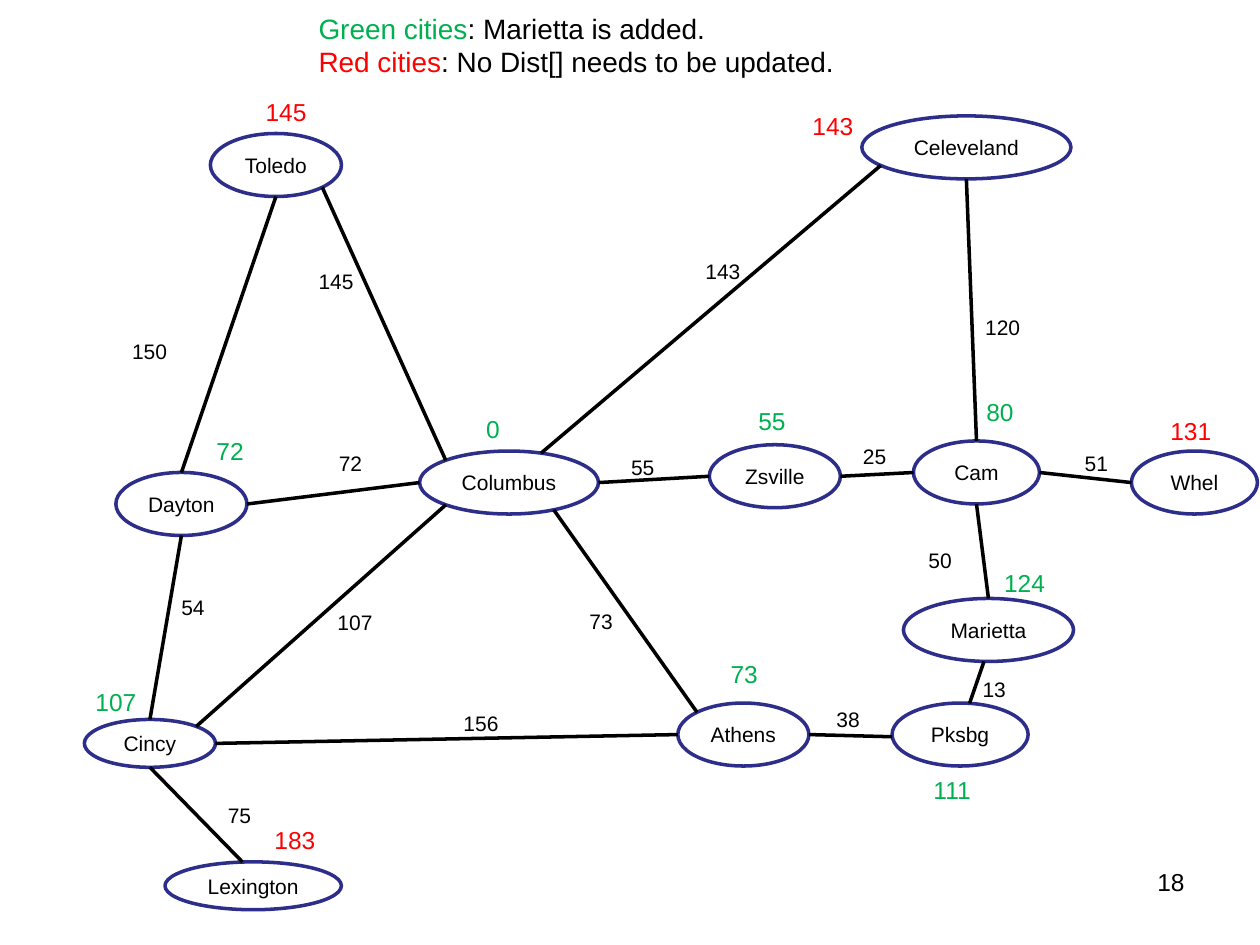
import math
from dataclasses import dataclass

import pptx
import pptx.dml.color
import pptx.enum.shapes
import pptx.enum.text
import pptx.oxml.ns
import pptx.util
from lxml import etree

ALIGN = pptx.enum.text.PP_ALIGN
COLUMNS = 10
ROWS = 7.5


@dataclass(frozen=True)
class Theme:
    font: str = "Arial"
    ink: str = "000000"
    paper: str = "FFFFFF"
    outline: str = "2D2D8A"
    green: str = "00B050"
    red: str = "FF0000"
    label: int = 12
    distance: int = 14
    caption: int = 16
    stroke: int = 2


THEME = Theme()

CITIES = {
    "Columbus": (3.33, 3.58, 1.42, 0.5),
    "Pksbg": (7.08, 5.58, 1.08, 0.5),
    "Athens": (5.38, 5.58, 1.04, 0.5),
    "Cam": (7.25, 3.5, 1, 0.5),
    "Whel": (8.98, 3.58, 1, 0.5),
    "Cincy": (0.67, 5.71, 1.04, 0.38),
    "Dayton": (0.92, 3.75, 1.04, 0.5),
    "Toledo": (1.67, 1.06, 1.04, 0.5),
    "Marietta": (7.17, 4.75, 1.35, 0.5),
    "Zsville": (5.63, 3.53, 1.04, 0.5),
    "Celeveland": (6.84, 0.92, 1.66, 0.5),
    "Lexington": (1.31, 6.84, 1.4, 0.38),
}

# Each road: city and angle in degrees at both ends, miles, label corner.
ROADS = [
    ("Columbus", 0, "Zsville", 180, "55", 4.91, 3.56),
    ("Zsville", 0, "Cam", 180, "25", 6.75, 3.47),
    ("Cam", 0, "Whel", 180, "51", 8.51, 3.53),
    ("Athens", 0, "Pksbg", 184, "38", 6.54, 5.56),
    ("Columbus", 300, "Athens", 135, "73", 4.58, 4.78),
    ("Dayton", 0, "Columbus", 180, "72", 2.59, 3.53),
    ("Cincy", 45, "Columbus", 225, "107", 2.58, 4.79),
    ("Dayton", 90, "Toledo", 270, "150", 0.95, 2.64),
    ("Toledo", 315, "Columbus", 135, "145", 2.43, 2.08),
    ("Cincy", 90, "Dayton", 270, "54", 1.34, 4.67),
    ("Cincy", 0, "Athens", 180, "156", 3.58, 5.59),
    ("Columbus", 69, "Celeveland", 215, "143", 5.5, 2),
    ("Celeveland", 270, "Cam", 90, "120", 7.72, 2.45),
    ("Cam", 270, "Marietta", 90, "50", 7.27, 4.3),
    ("Marietta", 267, "Pksbg", 82, "13", 7.7, 5.32),
    ("Lexington", 97, "Cincy", 270, "75", 1.71, 6.32),
]

DISTANCES = [
    ("55", THEME.green, 5.92, 3.17, 0.63),
    ("80", THEME.green, 7.73, 3.1, 0.94),
    ("124", THEME.green, 7.87, 4.46, 1.12),
    ("143", THEME.red, 6.35, 0.83, 0.64),
    ("145", THEME.red, 2.01, 0.72, 0.63),
    ("72", THEME.green, 1.62, 3.41, 0.63),
    ("107", THEME.green, 0.66, 5.4, 0.63),
    ("183", THEME.red, 2.08, 6.5, 1.25),
    ("73", THEME.green, 5.7, 5.18, 0.63),
    ("111", THEME.green, 7.31, 6.1, 1.19),
    ("131", THEME.red, 9.19, 3.25, 0.81),
    ("0", THEME.green, 3.76, 3.24, 0.63),
]

CAPTION = [
    [("Green cities", THEME.green), (": Marietta is added.", THEME.ink)],
    [("Red cities", THEME.red), (": No Dist[] needs to be updated.", THEME.ink)],
]


def rgb(value):
    return pptx.dml.color.RGBColor.from_string(value)


def write(p, text, *, size=THEME.label, color=THEME.ink, align=ALIGN.LEFT):
    p.alignment = align
    r = p.add_run()
    r.text = text
    r.font.name = THEME.font
    r.font.size = pptx.util.Pt(size)
    r.font.color.rgb = rgb(color)


def rim(city, angle):
    x, y, w, h = CITIES[city]
    turn = math.radians(angle)
    return x + w / 2 * (1 + math.cos(turn)), y + h / 2 * (1 - math.sin(turn))


class Board:
    def __init__(self, prs, theme):
        self.theme = theme
        self.column = prs.slide_width / COLUMNS
        self.row = prs.slide_height / ROWS
        self.s = prs.slides.add_slide(prs.slide_layouts[6])

    def place(self, x, y):
        return round(x * self.column), round(y * self.row)

    def city(self, name, x, y, w, h):
        sp = self.s.shapes.add_shape(
            pptx.enum.shapes.MSO_SHAPE.OVAL, *self.place(x, y), *self.place(w, h)
        )
        sp.shadow.inherit = False
        sp.fill.solid()
        sp.fill.fore_color.rgb = rgb(self.theme.paper)
        sp.line.color.rgb = rgb(self.theme.outline)
        sp.line.width = pptx.util.Pt(self.theme.stroke)
        tf = sp.text_frame
        tf.word_wrap = False
        tf.vertical_anchor = pptx.enum.text.MSO_ANCHOR.MIDDLE
        write(tf.paragraphs[0], name, align=ALIGN.CENTER)

    def road(self, start, end):
        cxn = self.s.shapes.add_connector(
            pptx.enum.shapes.MSO_CONNECTOR.STRAIGHT,
            *self.place(*start), *self.place(*end),
        )
        cxn.line.color.rgb = rgb(self.theme.ink)
        cxn.line.width = pptx.util.Pt(self.theme.stroke)
        etree.SubElement(cxn._element.spPr, pptx.oxml.ns.qn("a:effectLst"))

    def text(self, lines, x, y, w, h, **style):
        sp = self.s.shapes.add_textbox(*self.place(x, y), *self.place(w, h))
        tf = sp.text_frame
        tf.word_wrap = True
        for i, line in enumerate(lines):
            p = tf.add_paragraph() if i else tf.paragraphs[0]
            for text, color in line:
                write(p, text, color=color, **style)


def main():
    prs = pptx.Presentation()
    prs.slide_width = pptx.util.Inches(10)
    prs.slide_height = pptx.util.Inches(7.5)
    board = Board(prs, THEME)
    for name, box in CITIES.items():
        board.city(name, *box)
    for start, leave, end, arrive, _, _, _ in ROADS:
        board.road(rim(start, leave), rim(end, arrive))
    for *_, miles, x, y in ROADS:
        board.text([[(miles, THEME.ink)]], x, y, 0.49, 0.3)
    for miles, color, x, y, w in DISTANCES:
        board.text([[(miles, color)]], x, y, w, 0.34, size=THEME.distance)
    board.text(CAPTION, 2.43, 0.04, 6.82, 0.64, size=THEME.caption)
    board.text([[("18", THEME.ink)]], 8.58, 6.83, 0.92, 0.52,
               size=THEME.distance, align=ALIGN.RIGHT)
    prs.save("out.pptx")


if __name__ == "__main__":
    main()
